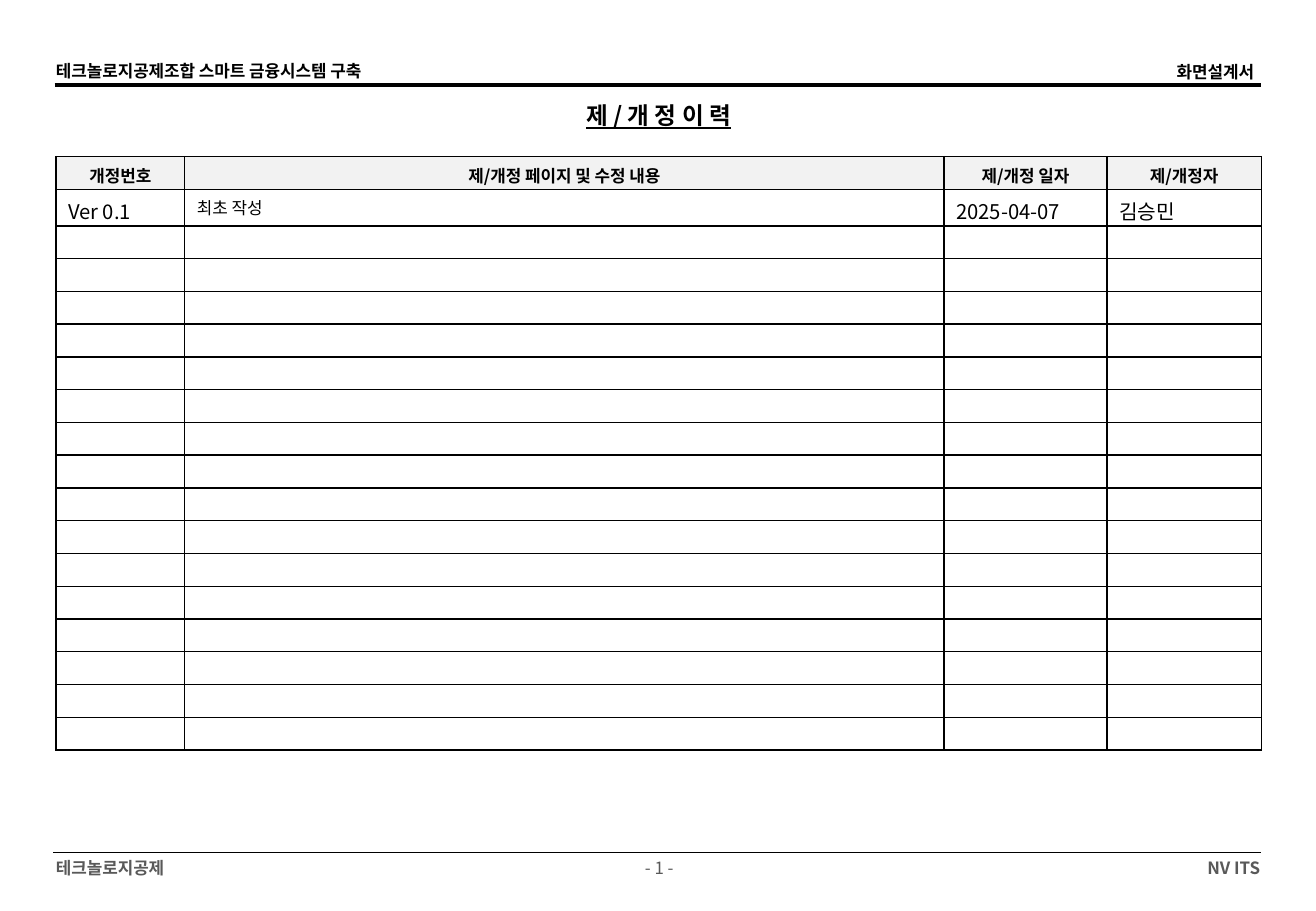
import dataclasses

import lxml.etree
import pptx
import pptx.dml.color
import pptx.enum.shapes
import pptx.enum.text
import pptx.oxml.ns
import pptx.util

Inches = pptx.util.Inches
Pt = pptx.util.Pt
ALIGN = pptx.enum.text.PP_ALIGN
ANCHOR = pptx.enum.text.MSO_ANCHOR
qn = pptx.oxml.ns.qn

FONT = "Noto Sans CJK KR"
COLORS = {"ink": "000000", "gray": "595959", "head": "F2F2F2", "paper": "FFFFFF"}


@dataclasses.dataclass
class Label:
    text: str
    left: float
    top: float
    width: float
    height: float
    align: pptx.enum.text.PP_ALIGN = ALIGN.LEFT
    color: str = "ink"
    size: float = 10
    bold: bool = True
    under: bool = False
    middle: bool = False
    pad: float = 0
    wrap: bool = False


@dataclasses.dataclass
class Rule:
    left: float
    right: float
    top: float
    weight: float


LABELS = [
    Label("- 1 -", 5.13, 7.01, 0.59, 0.27, ALIGN.CENTER, "gray", bold=False, pad=0.05),
    Label("테크놀로지공제", 0.46, 7.06, 0.98, 0.17, color="gray"),
    Label("NV ITS", 9.87, 7.06, 0.5, 0.17, ALIGN.RIGHT, "gray"),
    Label("테크놀로지공제조합 스마트 금융시스템 구축", 0.46, 0.5, 2.55, 0.17),
    Label("화면설계서", 9.68, 0.51, 0.64, 0.17, ALIGN.RIGHT, middle=True),
    Label("제 / 개 정 이 력", 0.46, 0.78, 9.92, 0.33, ALIGN.CENTER, size=14,
          under=True, middle=True, pad=0.05, wrap=True),
]
RULES = [Rule(0.44, 10.38, 7.02, 0.75), Rule(0.45, 10.38, 0.7, 2.75)]

# Revision table
COLS = [1.06, 6.25, 1.34, 1.27]
HEADS = ["개정번호", "제/개정 페이지 및 수정 내용", "제/개정 일자", "제/개정자"]
FIRST = ["Ver 0.1", "최초 작성", "2025-04-07", "김승민"]
SIZES = [12, 10, 12, 12]
BLANKS = 16
ROWS = [0.27, 0.3] + [0.27] * BLANKS


def paint(name: str) -> pptx.dml.color.RGBColor:
    return pptx.dml.color.RGBColor.from_string(COLORS[name])


def style(para, size: float, bold: bool = False, color: str = "ink") -> None:
    font = para.font
    font.name, font.size, font.bold = FONT, Pt(size), bold
    font.color.rgb = paint(color)
    base = para._p.pPr.find(qn("a:defRPr"))
    lxml.etree.SubElement(base, qn("a:ea"), typeface=FONT)


def write(slide, label: Label) -> None:
    box = slide.shapes.add_textbox(Inches(label.left), Inches(label.top),
                                   Inches(label.width), Inches(label.height))
    frame = box.text_frame
    frame.word_wrap = label.wrap
    frame.margin_left = frame.margin_right = Inches(label.pad * 2)
    frame.margin_top = frame.margin_bottom = Inches(label.pad)
    frame.vertical_anchor = ANCHOR.MIDDLE if label.middle else ANCHOR.TOP
    para = frame.paragraphs[0]
    para.text, para.alignment = label.text, label.align
    style(para, label.size, label.bold, label.color)
    para.font.underline = label.under


def draw(slide, rule: Rule) -> None:
    line = slide.shapes.add_connector(
        pptx.enum.shapes.MSO_CONNECTOR.STRAIGHT,
        Inches(rule.left), Inches(rule.top), Inches(rule.right), Inches(rule.top))
    line.line.color.rgb = paint("ink")
    line.line.width = Pt(rule.weight)
    lxml.etree.SubElement(line._element.spPr, qn("a:effectLst"))


def edge(cell) -> None:
    props = cell._tc.get_or_add_tcPr()
    for spot, side in enumerate(("a:lnL", "a:lnR", "a:lnT", "a:lnB")):
        line = lxml.etree.Element(qn(side), w=str(Pt(1)))
        fill = lxml.etree.SubElement(line, qn("a:solidFill"))
        lxml.etree.SubElement(fill, qn("a:srgbClr"), val=COLORS["ink"])
        props.insert(spot, line)


def fill_cell(cell, text: str, size: float, head: bool) -> None:
    cell.margin_top, cell.margin_bottom = Inches(0.05), Inches(0.01)
    cell.vertical_anchor = ANCHOR.MIDDLE if head else ANCHOR.TOP
    cell.fill.solid()
    cell.fill.fore_color.rgb = paint("head" if head else "paper")
    para = cell.text_frame.paragraphs[0]
    para.alignment = ALIGN.CENTER if head else ALIGN.LEFT
    if text:
        para.text = text
    else:
        # An empty cell takes its line height from the end mark
        lxml.etree.SubElement(para._p, qn("a:endParaRPr"), sz=str(int(size * 100)))
    style(para, size, head)
    edge(cell)


def build_table(slide) -> None:
    frame = slide.shapes.add_table(len(ROWS), len(COLS), Inches(0.46), Inches(1.29),
                                   Inches(sum(COLS)), Inches(sum(ROWS)))
    table = frame.table
    table.horz_banding = False
    for col, width in zip(table.columns, COLS):
        col.width = Inches(width)
    texts = [HEADS, FIRST] + [[""] * len(COLS)] * BLANKS
    for r, (height, words) in enumerate(zip(ROWS, texts)):
        table.rows[r].height = Inches(height)
        for c, word in enumerate(words):
            size = SIZES[c] if r == 1 else 10
            fill_cell(table.cell(r, c), word, size, r == 0)


def main() -> None:
    deck = pptx.Presentation()
    deck.slide_width, deck.slide_height = Inches(10.83), Inches(7.5)
    slide = deck.slides.add_slide(deck.slide_layouts[6])
    # Header and footer
    for rule in RULES:
        draw(slide, rule)
    for label in LABELS:
        write(slide, label)
    # Revision history
    build_table(slide)
    deck.save("out.pptx")


if __name__ == "__main__":
    main()
